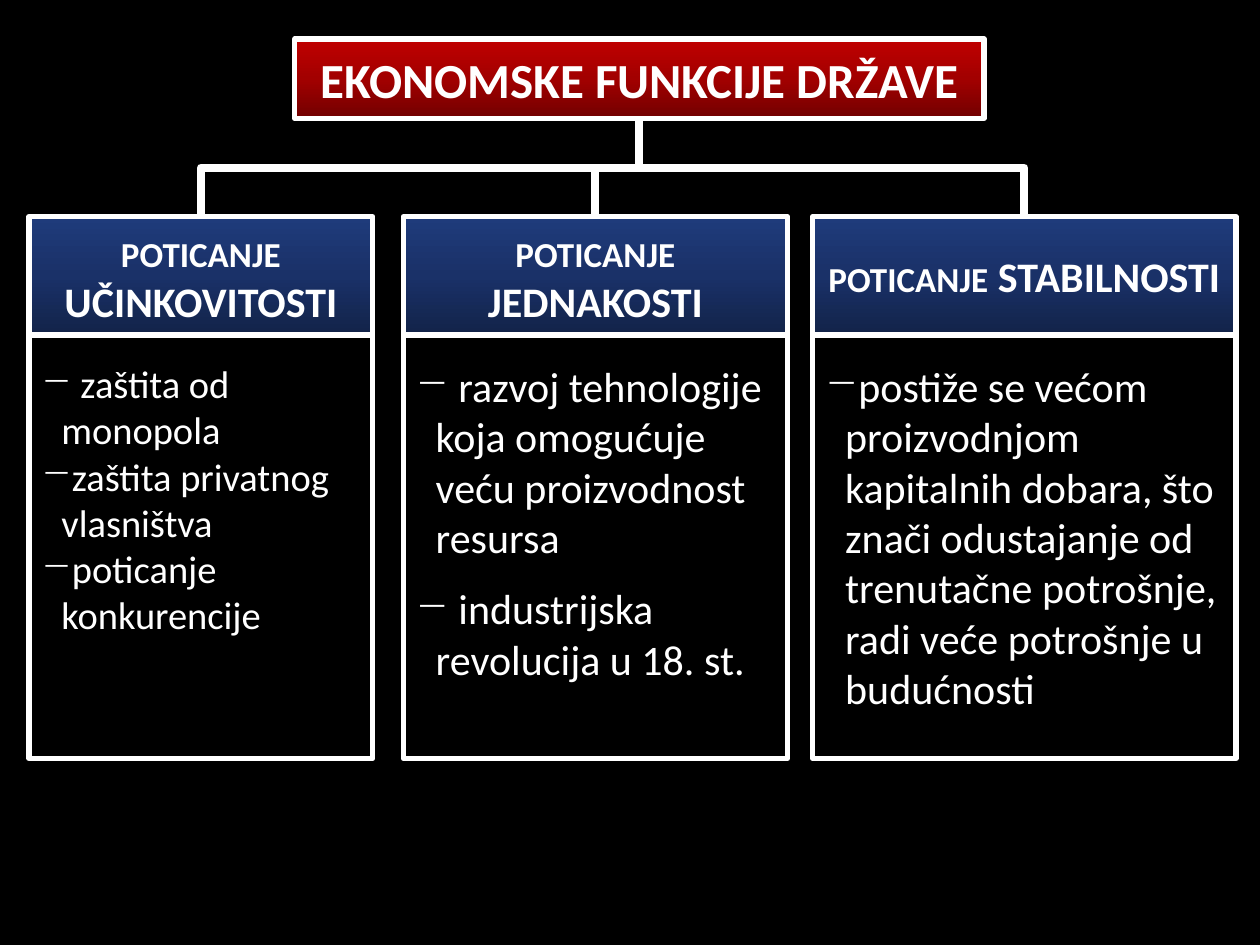
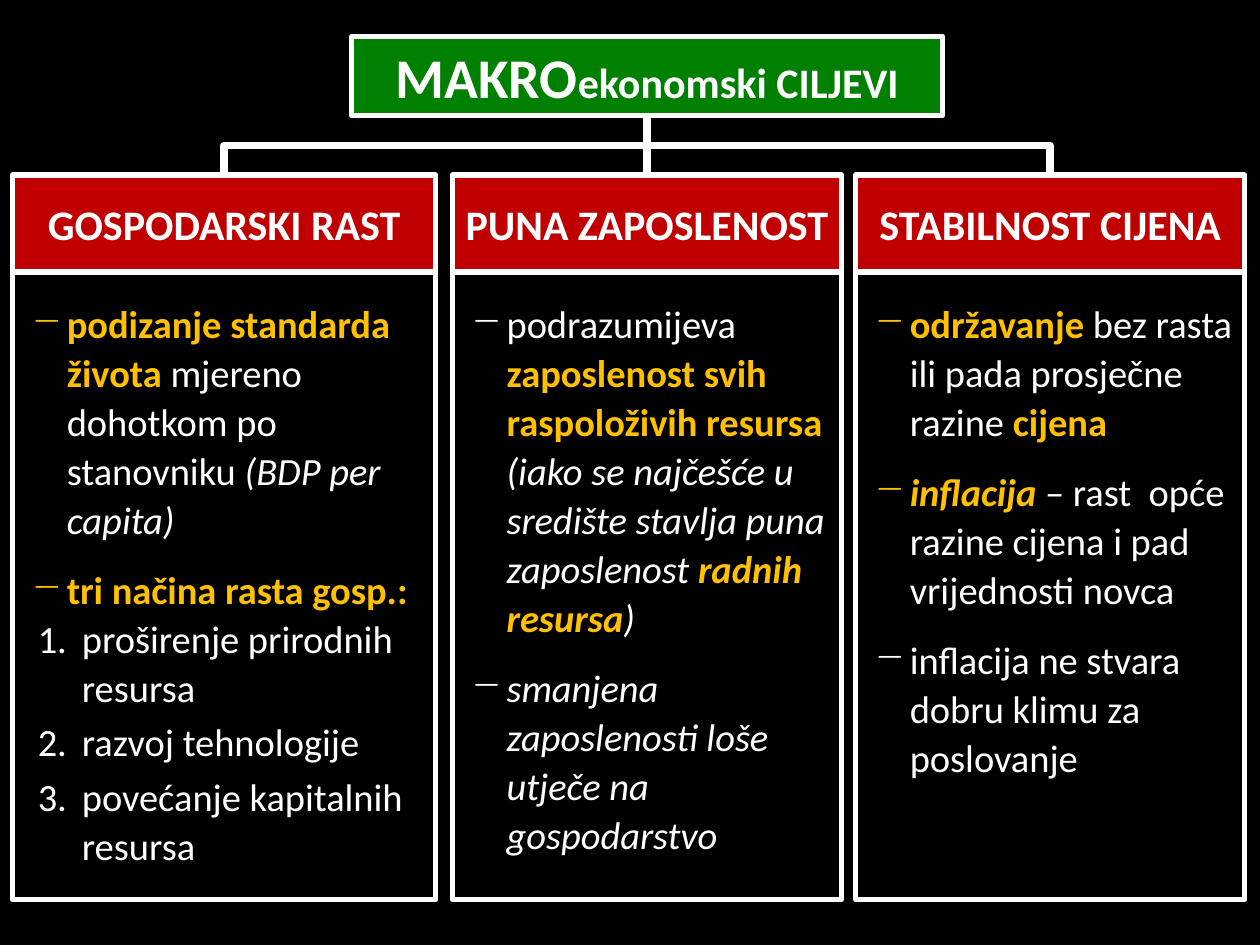
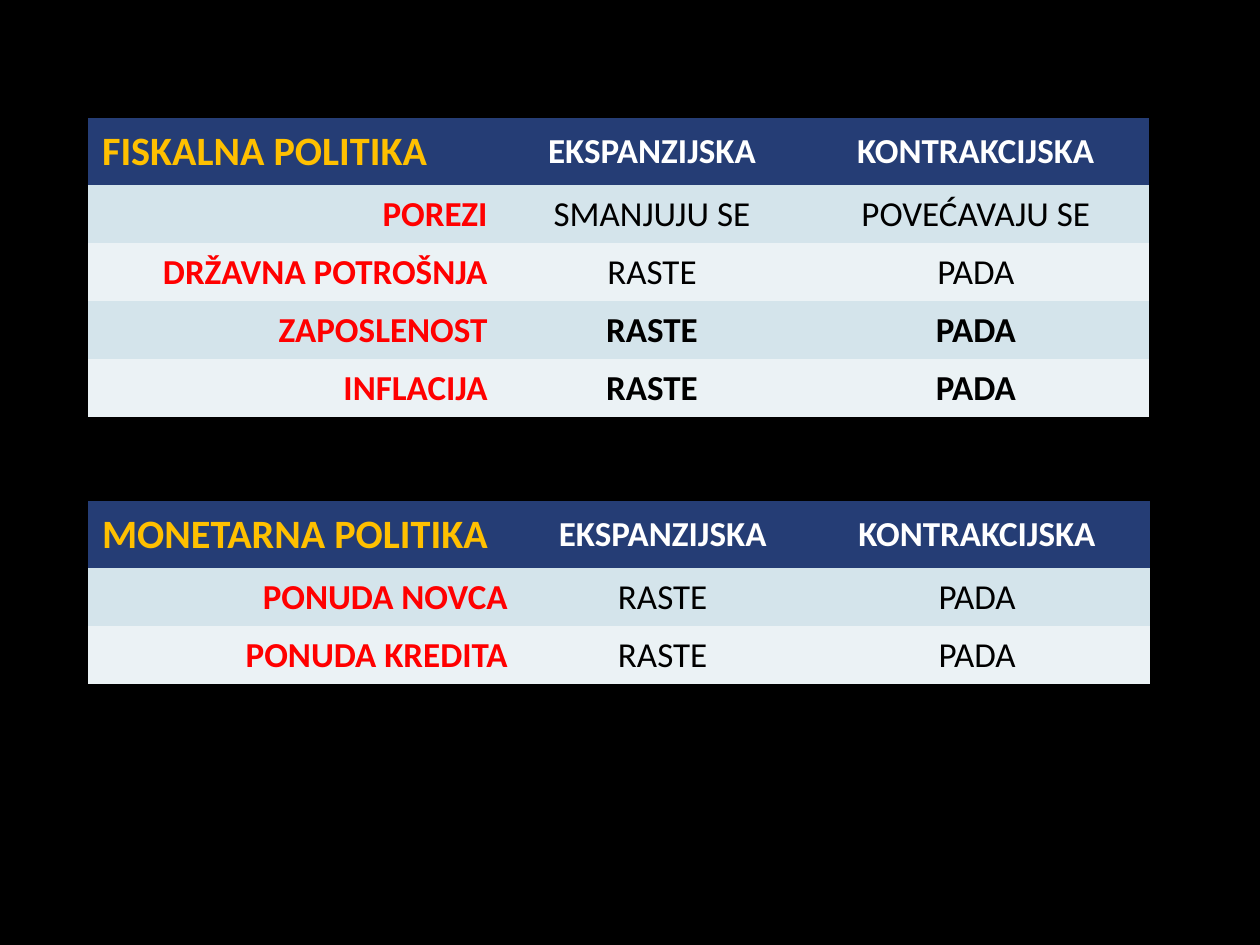
"""Build three slides on state economic functions, macro goals and policies."""
import copy
import pptx
import pptx.util
import pptx.dml.color
import pptx.enum.shapes
import pptx.enum.text
import pptx.oxml
import pptx.oxml.ns

Inches = pptx.util.Inches
Pt = pptx.util.Pt
qn = pptx.oxml.ns.qn
ALIGN = pptx.enum.text.PP_ALIGN
ANCHOR = pptx.enum.text.MSO_ANCHOR
FONT = "Calibri"
HUES = {
    "black": "000000", "white": "FFFFFF", "gold": "FFC000", "red": "FF0000",
    "crimson": "C00000", "green": "008000", "head": "253D75",
    "odd": "D4E4EB", "even": "EBF2F5",
}
FADES = {
    "navy": ["122349", "1A3168", "1F3B7B"],
    "wine": ["720000", "A20000", "C00000"],
}
RGB = {name: pptx.dml.color.RGBColor.from_string(code) for name, code in HUES.items()}


def put(para, text, size, hue="white", marks=""):
    run = para.add_run()
    run.text = text
    run.font.name = FONT
    run.font.size = Pt(size)
    run.font.color.rgb = RGB[hue]
    run.font.bold = "b" in marks
    run.font.italic = "i" in marks


def box(slide, spot, paint=None):
    shape = slide.shapes.add_shape(
        pptx.enum.shapes.MSO_SHAPE.RECTANGLE, *[Inches(n) for n in spot])
    shape.shadow.inherit = False
    shape.line.color.rgb = RGB["white"]
    shape.line.width = Pt(3)
    if paint in FADES:
        shape.fill.gradient()
        shape.fill.gradient_angle = 90
        stops = shape._element.spPr.find(qn("a:gradFill")).find(qn("a:gsLst"))
        stops.insert(1, copy.deepcopy(stops[0]))
        for step, (stop, code) in enumerate(zip(shape.fill.gradient_stops, FADES[paint])):
            stop.position = step / 2
            stop.color.rgb = pptx.dml.color.RGBColor.from_string(code)
    elif paint:
        shape.fill.solid()
        shape.fill.fore_color.rgb = RGB[paint]
    else:
        shape.fill.background()
    frame = shape.text_frame
    frame.word_wrap = True
    frame.vertical_anchor = ANCHOR.MIDDLE if paint else ANCHOR.TOP
    frame.paragraphs[0].alignment = ALIGN.CENTER if paint else ALIGN.LEFT
    return frame


BULLETS = {
    "tight": (0.16, -0.16, '<a:buChar %s char="−"/>'),
    "wide": (0.39, -0.28, '<a:buChar %s char="−"/>'),
    "count": (0.51, -0.35, '<a:buAutoNum %s type="arabicPeriod"/>'),
}

CHARTS = [
    {
        "title": (2.34, 0.31, 5.47, 0.63), "paint": "wine",
        "name": [("EKONOMSKE FUNKCIJE DRŽAVE", 28)],
        "top": 1.72, "mid": 2.66, "end": 6.02, "hue": "navy", "side": 0.1, "lead": None,
        "cols": [
            (0.23, 2.73, [("POTICANJE", 20), (" UČINKOVITOSTI", 24)], 22, [
                ("tight", 0, [(" zaštita od monopola",)]),
                ("tight", 0, [("zaštita privatnog vlasništva",)]),
                ("tight", 0, [("poticanje konkurencije",)]),
            ]),
            (3.2, 3.05, [("POTICANJE", 20), (" JEDNAKOSTI", 24)], 24, [
                ("tight", 0, [(" razvoj tehnologije koja omogućuje veću proizvodnost resursa",)]),
                ("tight", 12, [(" ", "white", "i"), ("industrijska revolucija u 18. st.",)]),
            ]),
            (6.45, 3.36, [("POTICANJE", 20), (" STABILNOSTI", 24)], 24, [
                ("tight", 0, [("postiže se većom proizvodnjom kapitalnih dobara, što znači "
                               "odustajanje od trenutačne potrošnje, radi veće potrošnje "
                               "u budućnosti",)]),
            ]),
        ],
    },
    {
        "title": (2.79, 0.29, 4.69, 0.63), "paint": "green",
        "name": [("MAKRO", 32), ("ekonomski CILJEVI", 24)],
        "top": 1.39, "mid": 2.16, "end": 7.14, "hue": "crimson", "side": 0.04, "lead": 28,
        "cols": [
            (0.1, 3.36, [("GOSPODARSKI RAST", 24)], 22, [
                ("wide", 0, [("podizanje standarda života ", "gold", "b"),
                             ("mjereno dohotkom po stanovniku ",),
                             ("(BDP per capita)", "white", "i")]),
                ("wide", 12, [("tri načina rasta gosp.:", "gold", "b")]),
                ("count", 0, [("proširenje prirodnih resursa",)]),
                ("count", 3, [("razvoj tehnologije",)]),
                ("count", 3, [("povećanje kapitalnih resursa",)]),
            ]),
            (3.59, 3.09, [("PUNA ZAPOSLENOST", 24)], 22, [
                ("wide", 0, [("podrazumijeva ",),
                             ("zaposlenost svih raspoloživih resursa ", "gold", "b"),
                             ("(iako se najčešće u središte stavlja puna zaposlenost ",
                              "white", "i"),
                             ("radnih resursa", "gold", "bi"),
                             (")", "white", "i")]),
                ("wide", 12, [("smanjena zaposlenosti loše utječe na gospodarstvo",
                               "white", "i")]),
            ]),
            (6.79, 3.09, [("STABILNOST CIJENA", 24)], 22, [
                ("wide", 0, [("održavanje ", "gold", "b"),
                             ("bez rasta ili pada prosječne razine ",),
                             ("cijena", "gold", "b")]),
                ("wide", 12, [("inflacija", "gold", "bi"),
                              (" – rast  opće razine cijena i pad vrijednosti novca",)]),
                ("wide", 12, [("inflacija ne stvara dobru klimu za poslovanje",)]),
            ]),
        ],
    },
]

TABLES = [
    (0.94, [3.28, 2.39, 2.75], [
        ("FISKALNA POLITIKA", "EKSPANZIJSKA", "KONTRAKCIJSKA"),
        ("POREZI", "SMANJUJU SE", "POVEĆAVAJU SE"),
        ("DRŽAVNA POTROŠNJA", "RASTE", "PADA"),
        ("ZAPOSLENOST", "RASTE", "PADA"),
        ("INFLACIJA", "RASTE", "PADA"),
    ]),
    (3.98, [3.44, 2.24, 2.75], [
        ("MONETARNA POLITIKA", "EKSPANZIJSKA", "KONTRAKCIJSKA"),
        ("PONUDA NOVCA", "RASTE", "PADA"),
        ("PONUDA KREDITA", "RASTE", "PADA"),
    ]),
]
STRONG = ("ZAPOSLENOST", "INFLACIJA")

deck = pptx.Presentation()
deck.slide_width = Inches(10)
deck.slide_height = Inches(7.5)
slides = [deck.slides.add_slide(deck.slide_layouts[6]) for _ in range(3)]
for slide in slides:
    slide.background.fill.solid()
    slide.background.fill.fore_color.rgb = RGB["black"]

for slide, chart in zip(slides, CHARTS):
    left, high, wide, tall = chart["title"]
    stem, base = left + wide / 2, high + tall
    top, mid, end = chart["top"], chart["mid"], chart["end"]
    frame = box(slide, chart["title"], chart["paint"])
    for text, size in chart["name"]:
        put(frame.paragraphs[0], text, size, marks="b")

    for left, wide, head, size, items in chart["cols"]:
        frame = box(slide, (left, top, wide, mid - top), chart["hue"])
        for text, points in head:
            put(frame.paragraphs[0], text, points, marks="b")

        frame = box(slide, (left, mid, wide, end - mid))
        frame.margin_left = frame.margin_right = Inches(chart["side"])
        frame.margin_top = Inches(0.2)
        for rank, (kind, gap, runs) in enumerate(items):
            para = frame.add_paragraph() if rank else frame.paragraphs[0]
            para.alignment = ALIGN.LEFT
            para.level = int(kind == "count")
            inset, hang, mark = BULLETS[kind]
            props = para._p.get_or_add_pPr()
            props.set("marL", str(Inches(inset)))
            props.set("indent", str(Inches(hang)))
            props.append(pptx.oxml.parse_xml(mark % pptx.oxml.ns.nsdecls("a")))
            if chart["lead"]:
                para.line_spacing = Pt(chart["lead"])
            if gap:
                para.space_before = Pt(gap)
            for text, *style in runs:
                put(para, text, size, *style)

        goal = left + wide / 2
        drop, reach = top - base, abs(goal - stem)
        x = (stem + goal - drop) / 2
        y = (base + top - reach) / 2
        link = slide.shapes.add_connector(
            pptx.enum.shapes.MSO_CONNECTOR.ELBOW,
            Inches(x), Inches(y), Inches(x + drop), Inches(y + reach))
        link.line.color.rgb = RGB["white"]
        link.line.width = Pt(4.5)
        props = link._element.spPr
        turn = props.find(qn("a:xfrm"))
        turn.set("rot", str((270 if goal > stem else 90) * 60000))
        if goal > stem:
            turn.set("flipH", "1")
        props.append(pptx.oxml.parse_xml(
            "<a:effectLst %s/>" % pptx.oxml.ns.nsdecls("a")))

for top, widths, rows in TABLES:
    tall = 0.53 + 0.46 * (len(rows) - 1)
    grid = slides[2].shapes.add_table(
        len(rows), 3, Inches(0.7), Inches(top), Inches(sum(widths)), Inches(tall)).table
    grid.first_row = grid.horz_banding = False
    grid._tbl.tblPr.find(qn("a:tableStyleId")).text = "{2D5ABB26-0587-4C30-8999-92F81FD0307C}"
    for col, wide in zip(grid.columns, widths):
        col.width = Inches(wide)
    for r, row in enumerate(rows):
        grid.rows[r].height = Inches(0.46 if r else 0.53)
        for c, text in enumerate(row):
            cell = grid.cell(r, c)
            cell.fill.solid()
            cell.fill.fore_color.rgb = RGB[("even", "odd")[r % 2] if r else "head"]
            cell.margin_left = cell.margin_right = Inches(0.11)
            cell.margin_top = cell.margin_bottom = Inches(0.06)
            cell.vertical_anchor = ANCHOR.TOP if r else ANCHOR.MIDDLE
            para = cell.text_frame.paragraphs[0]
            if c:
                para.alignment = ALIGN.CENTER
                hue = "black" if r else "white"
            else:
                para.alignment = ALIGN.RIGHT if r else ALIGN.LEFT
                hue = "red" if r else "gold"
            bold = r == 0 or c == 0 or row[0] in STRONG
            put(para, text, 20 if r or c else 23, hue, "b" if bold else "")

deck.save("out.pptx")
